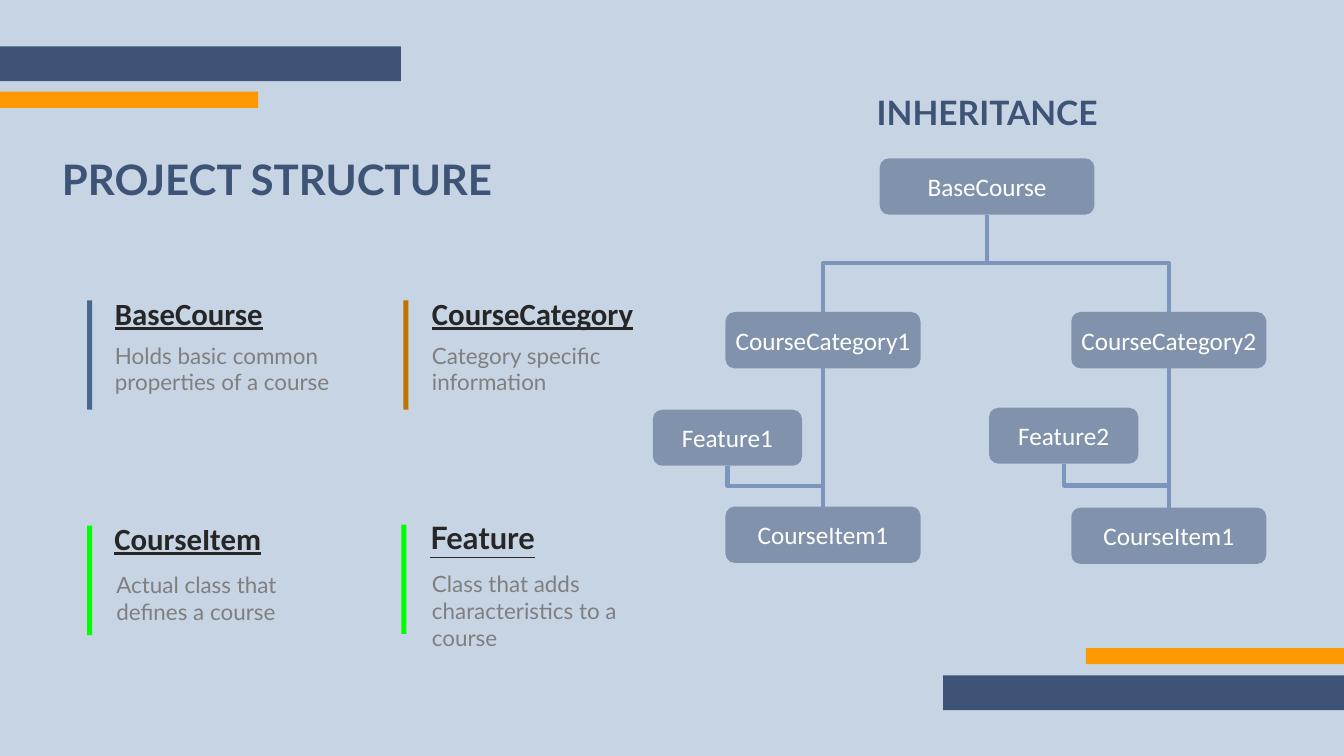
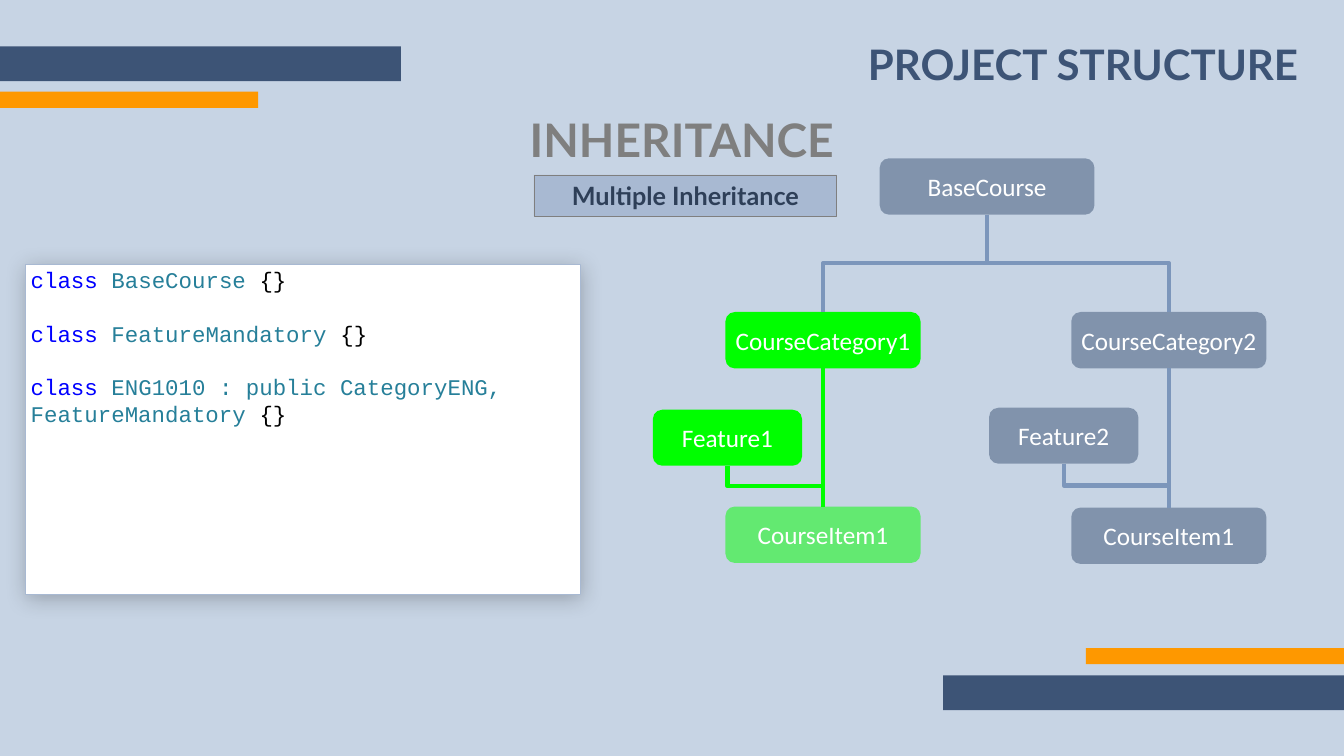
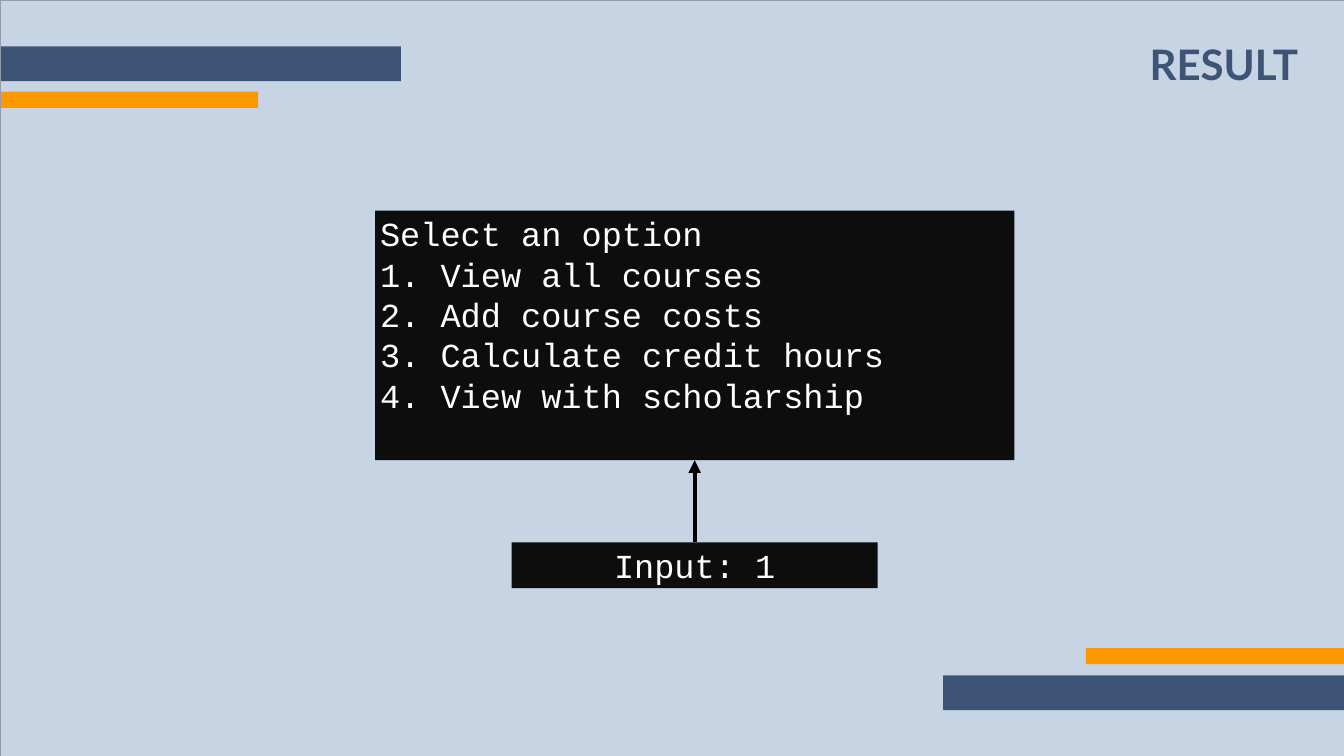
from dataclasses import dataclass

from lxml import etree
from pptx import Presentation
from pptx.dml.color import RGBColor
from pptx.enum.shapes import MSO_CONNECTOR as CONN, MSO_SHAPE as SHAPE
from pptx.enum.text import MSO_ANCHOR as ANCHOR, PP_ALIGN as ALIGN
from pptx.oxml.ns import qn
from pptx.util import Inches, Pt


@dataclass(frozen=True)
class Theme:
    """Colours, fonts and type sizes of the deck."""
    bg: str = "C7D4E4"
    navy: str = "3D5476"
    orange: str = "FE9800"
    green: str = "00FE00"
    link: str = "7C96BB"
    steel: str = "456790"
    rust: str = "BE7200"
    pale: str = "A8B9D2"
    deep: str = "2E3F58"
    frame: str = "939DA9"
    grey: str = "7F7F7F"
    ink: str = "262626"
    console: str = "0D0D0D"
    white: str = "FFFFFF"
    black: str = "000000"
    keyword: str = "0000FF"
    type_name: str = "267F99"
    sans: str = "Lato"
    label: str = "Calibri"
    mono: str = "Courier New"
    banner: int = 66
    title: int = 60
    subtitle: int = 48
    heading: int = 44
    node: int = 36
    body: int = 32


T = Theme()
W, H = 26.66, 15
TITLE_LEFT = (1.13, 3, 10.51, 1.66)
TITLE_RIGHT = (15.21, 0.71, 10.64, 1.11)

BANDS = [
    [((0, 0.92, 7.95, 0.69), T.navy), ((0, 1.82, 5.12, 0.32), T.orange)],
    [((W - 7.95, 13.4, 7.95, 0.69), T.navy), ((W - 5.12, 12.86, 5.12, 0.32), T.orange)],
]

CARDS = [
    ("CourseCategory", "Category specific information", T.label, T.rust,
     (8, 5.96), (8.47, 5.8), (8.47, 6.73), 4.3),
    ("BaseCourse", "Holds basic common properties of a course", T.label, T.steel,
     (1.73, 5.96), (2.18, 5.8), (2.18, 6.73), 5.2),
    ("CourseItem", "Actual class that defines a course", T.label, T.green,
     (1.73, 10.43), (2.17, 10.27), (2.21, 11.29), 4.3),
    ("Feature", "Class that adds characteristics to a course", T.sans, T.green,
     (7.96, 10.41), (8.44, 10.24), (8.47, 11.27), 4.3),
]

NODES = {
    "base": ("BaseCourse", (17.45, 3.14, 4.26, 1.12)),
    "cat1": ("CourseCategory1", (14.39, 6.19, 3.87, 1.12)),
    "cat2": ("CourseCategory2", (21.25, 6.19, 3.87, 1.12)),
    "feat1": ("Feature1", (12.95, 8.13, 2.96, 1.11)),
    "feat2": ("Feature2", (19.62, 8.09, 2.96, 1.11)),
    "item1": ("CourseItem1", (14.39, 10.05, 3.87, 1.12)),
    "item2": ("CourseItem1", (21.25, 10.07, 3.87, 1.12)),
}
LINKS = [("base", "cat2"), ("base", "cat1"), ("feat1", "item1"),
         ("feat2", "item2"), ("cat1", "item1"), ("cat2", "item2")]
HIGHLIGHT = {"cat1": 100, "feat1": 100, "item1": 50}

CODE = [
    [("class ", T.keyword), (name, T.type_name), ("{}", T.black)]
    for name in ("BaseCourse ", "FeatureMandatory ",
                 "ENG1010 : public CategoryENG, FeatureMandatory ")
]
MENU = ["Select an option", "1. View all courses", "2. Add course costs",
        "3. Calculate credit hours", "4. View with scholarship"]


def rgb(code):
    """Turn a hex code into a colour."""
    return RGBColor.from_string(code)


def sub(parent, tag, **attrs):
    """Append a drawing element with attributes."""
    el = etree.SubElement(parent, qn(tag))
    for key, value in attrs.items():
        el.set(key, str(value))
    return el


def box(shapes, at, fill=None, kind=SHAPE.RECTANGLE, alpha=100, line=None, weight=1):
    """Add a preset shape without shadow."""
    sp = shapes.add_shape(kind, *map(Inches, at))
    sp.shadow.inherit = False
    if fill:
        sp.fill.solid()
        sp.fill.fore_color.rgb = rgb(fill)
        if alpha < 100:
            clr = sp._element.spPr.find(qn("a:solidFill")).find(qn("a:srgbClr"))
            sub(clr, "a:alpha", val=alpha * 1000)
    else:
        sp.fill.background()
    if line:
        sp.line.color.rgb = rgb(line)
        sp.line.width = Pt(weight)
    else:
        sp.line.fill.background()
    return sp


def write(sp, text, size=T.body, font=T.sans, color=T.grey, bold=False, underline=False,
          align=ALIGN.LEFT, anchor=ANCHOR.TOP, after=0):
    """Fill a shape with a string, or with lines that may hold coloured runs."""
    tf = sp.text_frame
    tf.word_wrap = True
    tf.vertical_anchor = anchor
    for i, row in enumerate([text] if isinstance(text, str) else text):
        p = tf.paragraphs[0] if i == 0 else tf.add_paragraph()
        p.alignment = align
        p.space_after = Pt(after)
        for part, tint in [(row, color)] if isinstance(row, str) else row:
            r = p.add_run()
            r.text = part
            r.font.size, r.font.name = Pt(size), font
            r.font.bold, r.font.underline = bold, underline
            r.font.color.rgb = rgb(tint)
    return sp


def label(s, text, at, **fmt):
    """Add a text box."""
    return write(s.shapes.add_textbox(*map(Inches, at)), text, **fmt)


def connect(s, kind, start, end, color):
    """Add a thick connector without shadow."""
    c = s.shapes.add_connector(kind, *map(Inches, (*start, *end)))
    c.line.color.rgb = rgb(color)
    c.line.width = Pt(6)
    sub(c._element.spPr, "a:effectLst")
    return c


def elbow(s, start, end, color):
    """Add an elbow that leaves downwards and arrives downwards."""
    (x1, y1), (x2, y2) = start, end
    drop, shift = y2 - y1, abs(x2 - x1)
    left, top = (x1 + x2 - drop) / 2, (y1 + y2 - shift) / 2
    c = connect(s, CONN.ELBOW, (left, top), (left + drop, top + shift), color)
    xfrm = c._element.spPr.find(qn("a:xfrm"))
    xfrm.set("rot", str((90 if x2 < x1 else 270) * 60000))
    if x2 >= x1:
        xfrm.set("flipH", "1")


def tree(s, highlight):
    """Draw the inheritance tree, with the given nodes in green."""
    for key, (text, at) in NODES.items():
        fill = T.green if key in highlight else T.navy
        sp = box(s.shapes, at, fill, SHAPE.ROUNDED_RECTANGLE, highlight.get(key, 50))
        write(sp, text, size=T.node, font=T.label, color=T.white,
              align=ALIGN.CENTER, anchor=ANCHOR.MIDDLE)
    for parent, child in LINKS:
        x, y, w, h = NODES[parent][1]
        cx, cy, cw, _ = NODES[child][1]
        elbow(s, (x + w / 2, y + h), (cx + cw / 2, cy),
              T.green if parent in highlight else T.link)


def new_slide(prs, title, at, align):
    """Add a slide with background, corner bands and title."""
    s = prs.slides.add_slide(prs.slide_layouts[6])
    s.background.fill.solid()
    s.background.fill.fore_color.rgb = rgb(T.bg)
    for pair in BANDS:
        group = s.shapes.add_group_shape()
        for place, color in pair:
            box(group.shapes, place, color)
    label(s, title, at, size=T.title, color=T.navy, bold=True, align=align)
    return s


def structure_slide(prs):
    """Describe the classes beside their tree."""
    s = new_slide(prs, "PROJECT STRUCTURE", TITLE_LEFT, ALIGN.LEFT)
    label(s, "INHERITANCE", (14.33, 1.77, 10.51, 0.91), size=T.subtitle,
          color=T.navy, bold=True, align=ALIGN.CENTER)
    tree(s, {})
    for name, about, font, accent, bar, head, body, width in CARDS:
        box(s.shapes, (*bar, 0.1, 2.17), accent)
        label(s, about, (*body, width, 1.18))
        label(s, name, (*head, width, 0.84), size=T.heading, font=font,
              color=T.ink, bold=True, underline=True)


def inheritance_slide(prs):
    """Show the code beside the highlighted branch."""
    s = new_slide(prs, "PROJECT STRUCTURE", TITLE_RIGHT, ALIGN.RIGHT)
    sp = box(s.shapes, (0.51, 5.24, 11.01, 6.56), T.white, line=T.pale, weight=0.75)
    effects = sp._element.spPr.find(qn("a:effectLst"))
    shadow = sub(effects, "a:outerShdw", blurRad=Pt(32), dist=Pt(4), dir=90 * 60000,
                 rotWithShape=0)
    sub(sub(shadow, "a:srgbClr", val=T.black), "a:alpha", val=23000)
    write(sp, CODE, font=T.mono, after=38)
    sp = box(s.shapes, (10.59, 3.47, 6.01, 0.82), T.pale, line=T.grey)
    write(sp, "Multiple Inheritance", size=T.node, color=T.deep, bold=True,
          align=ALIGN.CENTER, anchor=ANCHOR.MIDDLE)
    label(s, "INHERITANCE", (8.34, 2.15, 10.37, 1.21), size=T.banner, bold=True,
          align=ALIGN.CENTER)
    tree(s, HIGHLIGHT)


def result_slide(prs):
    """Show the console menu and the input sent to it."""
    s = new_slide(prs, "RESULT", TITLE_RIGHT, ALIGN.RIGHT)
    fmt = dict(size=T.subtitle, font=T.mono, color=T.white)
    write(box(s.shapes, (7.44, 4.18, 12.68, 4.95), T.console), MENU, **fmt)
    write(box(s.shapes, (10.15, 10.76, 7.26, 0.91), T.console), "Input: 1",
          align=ALIGN.CENTER, **fmt)
    c = connect(s, CONN.STRAIGHT, (13.78, 10.76), (13.78, 9.13), T.black)
    sub(c.line._get_or_add_ln(), "a:tailEnd", type="triangle")
    box(s.shapes, (0, 0, W, H), line=T.frame)


def main():
    """Build and save the deck."""
    prs = Presentation()
    prs.slide_width, prs.slide_height = Inches(W), Inches(H)
    structure_slide(prs)
    inheritance_slide(prs)
    result_slide(prs)
    prs.save("out.pptx")


main()
